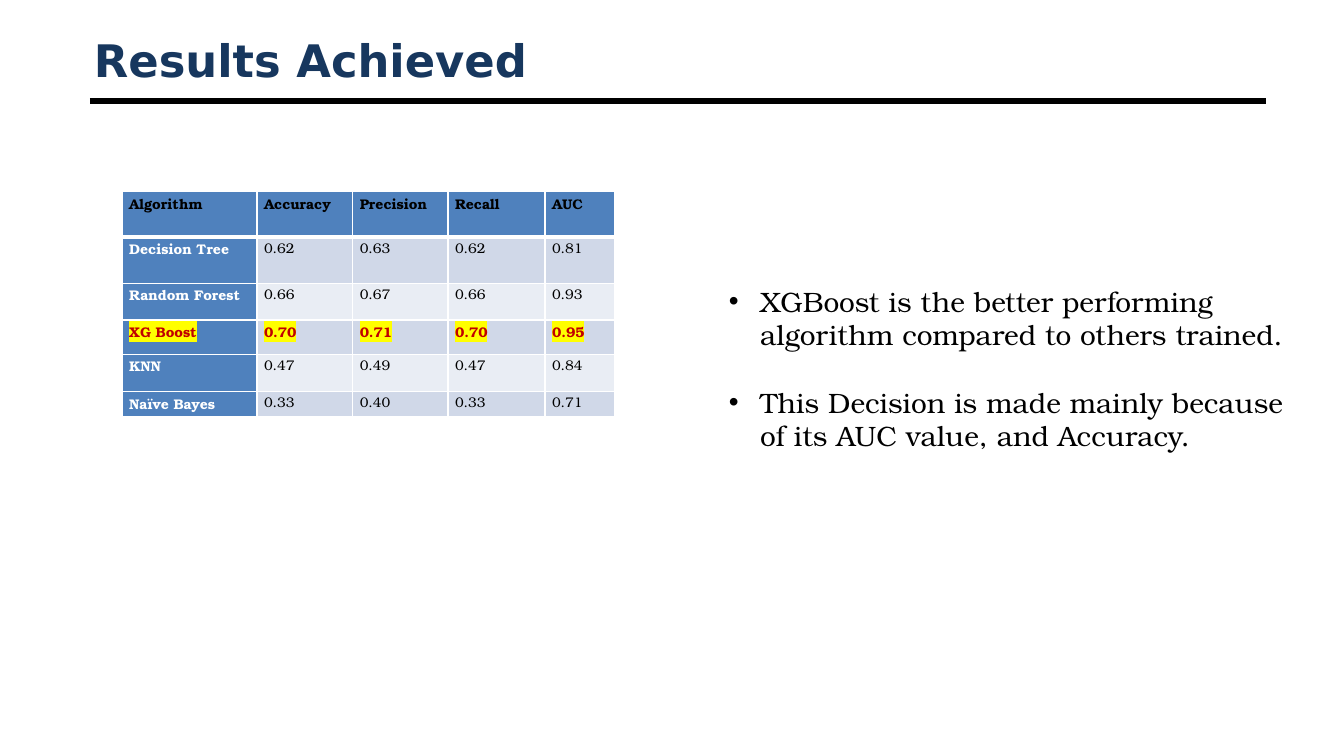
from dataclasses import dataclass

from lxml import etree
from pptx import Presentation
from pptx.dml.color import RGBColor
from pptx.enum.shapes import MSO_CONNECTOR
from pptx.enum.text import MSO_ANCHOR, PP_ALIGN
from pptx.oxml.ns import qn
from pptx.util import Inches, Pt

STRAIGHT = MSO_CONNECTOR.STRAIGHT
MIDDLE = MSO_ANCHOR.MIDDLE
TOP = MSO_ANCHOR.TOP
JUSTIFY = PP_ALIGN.JUSTIFY
BLANK = 6
GRID_COLUMNS, GRID_ROWS = 160, 90
SIDES = ("L", "R", "T", "B")


@dataclass(frozen=True)
class Theme:
    heading_font: str = "DejaVu Sans"
    body_font: str = "TeX Gyre Bonum"
    title_size: float = 32
    body_size: float = 20
    table_size: float = 10
    rule_width: float = 4.5
    border_width: float = 1
    header_border_width: float = 3
    navy: str = "17375E"
    black: str = "000000"
    white: str = "FFFFFF"
    blue: str = "4F81BD"
    bands: tuple = ("D0D8E8", "E9EDF4")
    red: str = "C00000"
    yellow: str = "FFFF00"


def apply(target, formats):
    for name, value in formats.items():
        setattr(target, name, value)


def add_solid_fill(parent, color):
    fill = etree.SubElement(parent, qn("a:solidFill"))
    etree.SubElement(fill, qn("a:srgbClr"), val=color)


class SlideBuilder:
    def __init__(self, deck, theme):
        self.theme = theme
        self.page = deck.slides.add_slide(deck.slide_layouts[BLANK])
        self.column = deck.slide_width / GRID_COLUMNS
        self.row = deck.slide_height / GRID_ROWS

    def x(self, columns):
        return round(columns * self.column)

    def y(self, rows):
        return round(rows * self.row)

    def place(self, left, top, width, height):
        return self.x(left), self.y(top), self.x(width), self.y(height)

    def span(self, para, text, font, size, color, bold=False, highlight=None):
        span = para.add_run()
        span.text = text
        apply(span.font, {"name": font, "size": Pt(size), "bold": bold})
        span.font.color.rgb = RGBColor.from_string(color)
        if highlight:
            mark = etree.Element(qn("a:highlight"))
            etree.SubElement(mark, qn("a:srgbClr"), val=highlight)
            span.font._element.find(qn("a:solidFill")).addnext(mark)

    def text_frame(self, area, anchor):
        frame = self.page.shapes.add_textbox(*self.place(*area)).text_frame
        apply(frame, {"word_wrap": True, "vertical_anchor": anchor})
        return frame

    def title(self, text, area):
        theme = self.theme
        para = self.text_frame(area, MIDDLE).paragraphs[0]
        self.span(para, text, theme.heading_font, theme.title_size, theme.navy, bold=True)

    def rule(self, start, end, row):
        line = self.page.shapes.add_connector(
            STRAIGHT, self.x(start), self.y(row), self.x(end), self.y(row))
        line.line.width = Pt(self.theme.rule_width)
        line.line.color.rgb = RGBColor.from_string(self.theme.black)
        etree.SubElement(line._element.spPr, qn("a:effectLst"))

    def bullets(self, items, area, gap):
        theme = self.theme
        frame = self.text_frame(area, TOP)
        for index, text in enumerate(items):
            para = frame.add_paragraph() if index else frame.paragraphs[0]
            para.space_before = Pt(gap if index else 0)
            self.span(para, text, theme.body_font, theme.body_size, theme.black)
            properties = para._p.get_or_add_pPr()
            properties.set("marL", str(Inches(0.31)))
            properties.set("indent", str(-Inches(0.31)))
            etree.SubElement(properties, qn("a:buFont"), typeface="Arial")
            etree.SubElement(properties, qn("a:buChar"), char="•")

    def borders(self, cell, widths):
        properties = cell._tc.get_or_add_tcPr()
        for position, side in enumerate(SIDES):
            width = widths.get(side, self.theme.border_width)
            line = etree.Element(qn(f"a:ln{side}"), w=str(Pt(width)))
            add_solid_fill(line, self.theme.white)
            properties.insert(position, line)

    def cell(self, cell, text, fill, widths, **style):
        theme = self.theme
        apply(cell, {"margin_left": Inches(0.07), "margin_right": Inches(0.07),
                     "margin_top": 0, "margin_bottom": 0})
        cell.fill.solid()
        cell.fill.fore_color.rgb = RGBColor.from_string(fill)
        self.borders(cell, widths)
        para = cell.text_frame.paragraphs[0]
        apply(para, {"alignment": JUSTIFY, "line_spacing": 1.07, "space_after": Pt(8)})
        self.span(para, text, theme.body_font, theme.table_size, **style)

    def table(self, records, left, top, widths, heights, best):
        theme = self.theme
        area = self.place(left, top, sum(widths), sum(heights))
        table = self.page.shapes.add_table(len(heights), len(widths), *area).table
        for column, width in zip(table.columns, widths):
            column.width = self.x(width)
        for row, height in zip(table.rows, heights):
            row.height = self.y(height)
        header_edges = {0: {"B": theme.header_border_width},
                        1: {"T": theme.header_border_width}}
        for r, record in enumerate(records):
            for c, text in enumerate(record):
                is_label = r == 0 or c == 0
                fill = theme.blue if is_label else theme.bands[(r - 1) % 2]
                style = {"color": theme.white if c == 0 and r else theme.black,
                         "bold": is_label}
                if record[0] == best:
                    style = {"color": theme.red, "bold": True, "highlight": theme.yellow}
                self.cell(table.cell(r, c), text, fill, header_edges.get(r, {}), **style)


RESULTS = (
    ("Algorithm", "Accuracy", "Precision", "Recall", "AUC"),
    ("Decision Tree", "0.62", "0.63", "0.62", "0.81"),
    ("Random Forest", "0.66", "0.67", "0.66", "0.93"),
    ("XG Boost", "0.70", "0.71", "0.70", "0.95"),
    ("KNN", "0.47", "0.49", "0.47", "0.84"),
    ("Naïve Bayes", "0.33", "0.40", "0.33", "0.71"),
)
FINDINGS = (
    "XGBoost is the better performing algorithm compared to others trained.",
    "This Decision is made mainly because of its AUC value, and Accuracy.",
)


def main():
    deck = Presentation()
    apply(deck, {"slide_width": Inches(13.33), "slide_height": Inches(7.5)})
    slide = SlideBuilder(deck, Theme())
    slide.rule(10.7, 150.75, 12)
    slide.title("Results Achieved", (10, 3.85, 140, 6.4))
    slide.table(RESULTS, 14.55, 22.8,
                widths=(16.05, 11.4, 11.35, 11.55, 8.25),
                heights=(5.4, 5.55, 4.35, 4.1, 4.45, 3),
                best="XG Boost")
    slide.bullets(FINDINGS, (85.6, 33.25, 70.35, 21.35), gap=24)
    deck.save("out.pptx")


if __name__ == "__main__":
    main()
